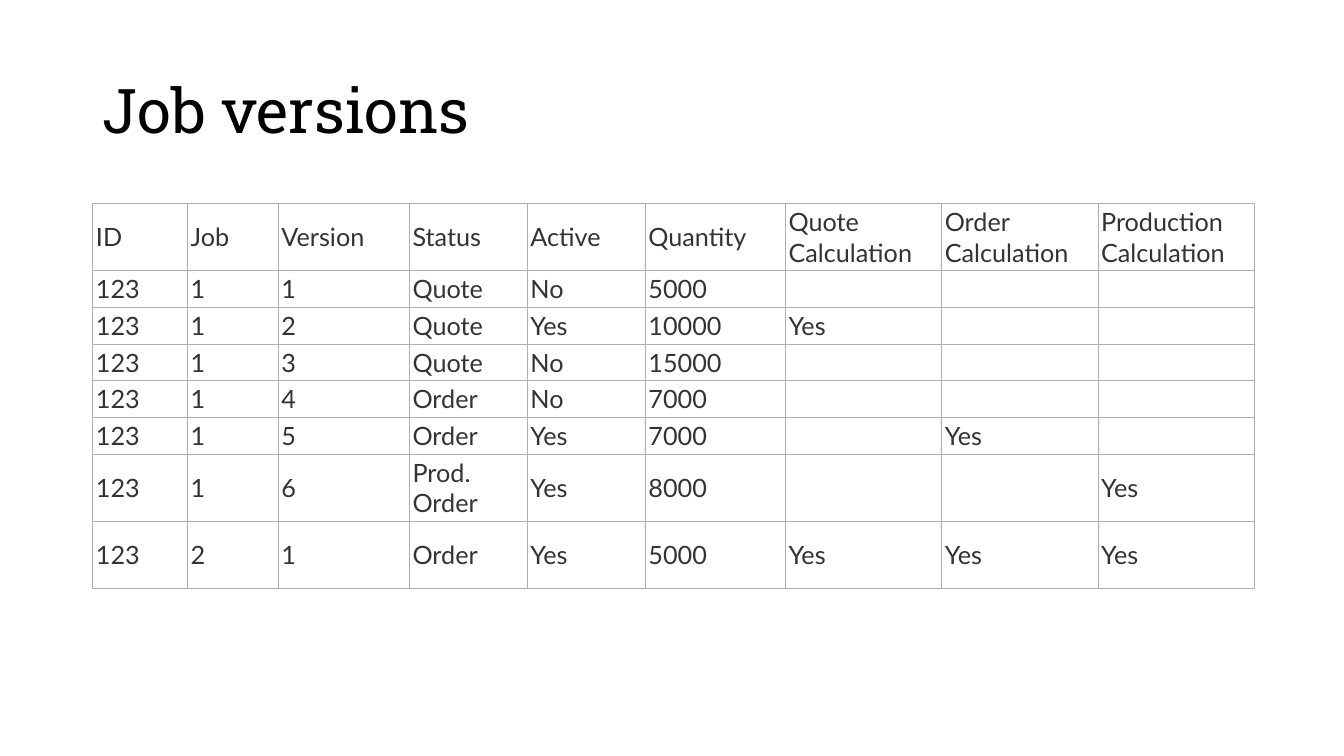
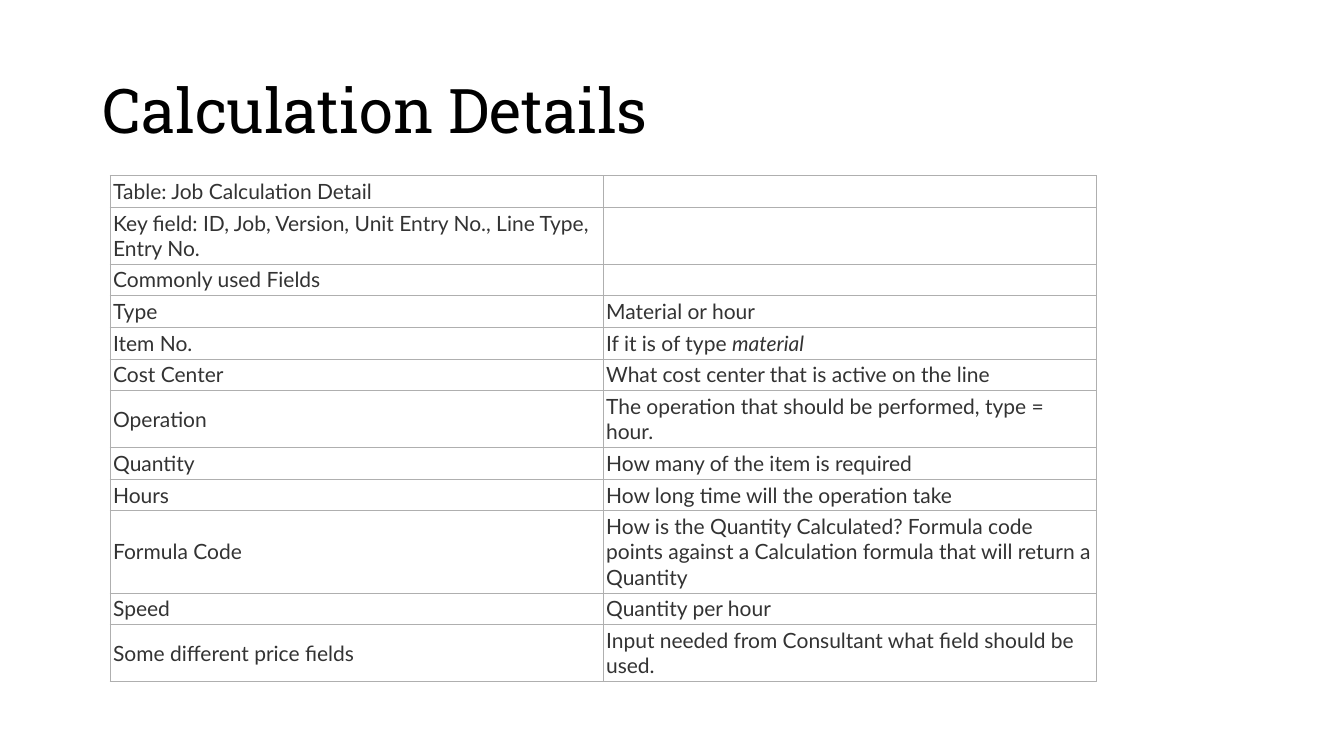
from lxml.etree import SubElement
from pptx import Presentation
from pptx.dml.color import RGBColor
from pptx.enum.text import MSO_ANCHOR
from pptx.oxml.ns import qn
from pptx.util import Inches, Pt

TITLE_FONT, BODY_FONT = "Roboto Slab", "Lato"
BLACK, TEXT, BORDER, WHITE = "000000", "333333", "AFAFAF", "FFFFFF"
LEFT, CONTENT_W = 0.92, 11.5
CELL_PAD = 2.3
LINE_SPACING = 1.2

VERSIONS = [
    ["ID", "Job", "Version", "Status", "Active", "Quantity",
     "Quote Calculation", "Order Calculation", "Production Calculation"],
    ["123", "1", "1", "Quote", "No", "5000", "", "", ""],
    ["123", "1", "2", "Quote", "Yes", "10000", "Yes", "", ""],
    ["123", "1", "3", "Quote", "No", "15000", "", "", ""],
    ["123", "1", "4", "Order", "No", "7000", "", "", ""],
    ["123", "1", "5", "Order", "Yes", "7000", "", "Yes", ""],
    ["123", "1", "6", "Prod. Order", "Yes", "8000", "", "", "Yes"],
    ["123", "2", "1", "Order", "Yes", "5000", "Yes", "Yes", "Yes"],
]
VERSION_COLS = [0.94, 0.9, 1.3, 1.17, 1.17, 1.39, 1.55, 1.55, 1.55]
VERSION_LINES = [2, 1, 1, 1, 1, 1, 2, 2]

# Text between asterisks is italic.
DETAILS = [
    ["Table: Job Calculation Detail", ""],
    ["Key field: ID, Job, Version, Unit Entry No., Line Type, Entry No.", ""],
    ["Commonly used Fields", ""],
    ["Type", "Material or hour"],
    ["Item No.", "If it is of type *material*"],
    ["Cost Center", "What cost center that is active on the line"],
    ["Operation", "The operation that should be performed, type = hour."],
    ["Quantity", "How many of the item is required"],
    ["Hours", "How long time will the operation take"],
    ["Formula Code", "How is the Quantity Calculated? Formula code points against "
                     "a Calculation formula that will return a Quantity"],
    ["Speed", "Quantity per hour"],
    ["Some different price fields",
     "Input needed from Consultant what field should be used."],
]
DETAIL_COLS = [4.89, 4.89]
DETAIL_LINES = [1, 2, 1, 1, 1, 1, 2, 1, 1, 3, 1, 2]


def rgb(color):
    return RGBColor.from_string(color)


def style(font, name, size, color):
    font.name, font.size = name, Pt(size)
    font.color.rgb = rgb(color)


def add_titled_slide(prs, title):
    s = prs.slides.add_slide(prs.slide_layouts[6])
    s.background.fill.solid()
    s.background.fill.fore_color.rgb = rgb(WHITE)
    sp = s.shapes.add_textbox(Inches(LEFT), Inches(0.4), Inches(CONTENT_W), Inches(1.45))
    tf = sp.text_frame
    tf.word_wrap = True
    tf.vertical_anchor = MSO_ANCHOR.MIDDLE
    p = tf.paragraphs[0]
    p.text = title
    p.line_spacing = 0.9
    style(p.runs[0].font, TITLE_FONT, 44, BLACK)
    return s


def set_borders(cell):
    tc_pr = cell._tc.get_or_add_tcPr()
    for side in ("a:lnL", "a:lnR", "a:lnT", "a:lnB"):
        ln = SubElement(tc_pr, qn(side), w=str(Pt(0.6)))
        fill = SubElement(ln, qn("a:solidFill"))
        SubElement(fill, qn("a:srgbClr"), val=BORDER)


def fill_cell(cell, text, size):
    set_borders(cell)
    cell.fill.solid()
    cell.fill.fore_color.rgb = rgb(WHITE)
    cell.vertical_anchor = MSO_ANCHOR.MIDDLE
    cell.margin_left = cell.margin_right = Pt(CELL_PAD)
    cell.margin_top = cell.margin_bottom = Pt(CELL_PAD)
    p = cell.text_frame.paragraphs[0]
    if not text:
        # An empty cell keeps the row low only if its end mark has the text size.
        SubElement(p._p, qn("a:endParaRPr"), sz=str(size * 100))
    for i, part in enumerate(text.split("*")):
        if part:
            r = p.add_run()
            r.text = part
            style(r.font, BODY_FONT, size, TEXT)
            if i % 2:
                r.font.italic = True


def add_grid(s, left, top, rows, widths, lines, size):
    """Add a bordered table whose row heights follow the text lines in each row."""
    heights = [Pt(n * size * LINE_SPACING + 2 * CELL_PAD) for n in lines]
    table = s.shapes.add_table(len(rows), len(widths), Inches(left), Inches(top),
                               Inches(sum(widths)), sum(heights)).table
    table.first_row = table.horz_banding = False
    for col, width in zip(table.columns, widths):
        col.width = Inches(width)
    for row, height, texts in zip(table.rows, heights, rows):
        row.height = height
        for cell, text in zip(row.cells, texts):
            fill_cell(cell, text, size)


def main():
    prs = Presentation()
    prs.slide_width, prs.slide_height = Inches(13.33), Inches(7.5)
    s = add_titled_slide(prs, "Job versions")
    add_grid(s, LEFT, 2.02, VERSIONS, VERSION_COLS, VERSION_LINES, 18)
    s = add_titled_slide(prs, "Calculation Details")
    add_grid(s, 1.09, 1.74, DETAILS, DETAIL_COLS, DETAIL_LINES, 15)
    prs.save("out.pptx")


if __name__ == "__main__":
    main()
